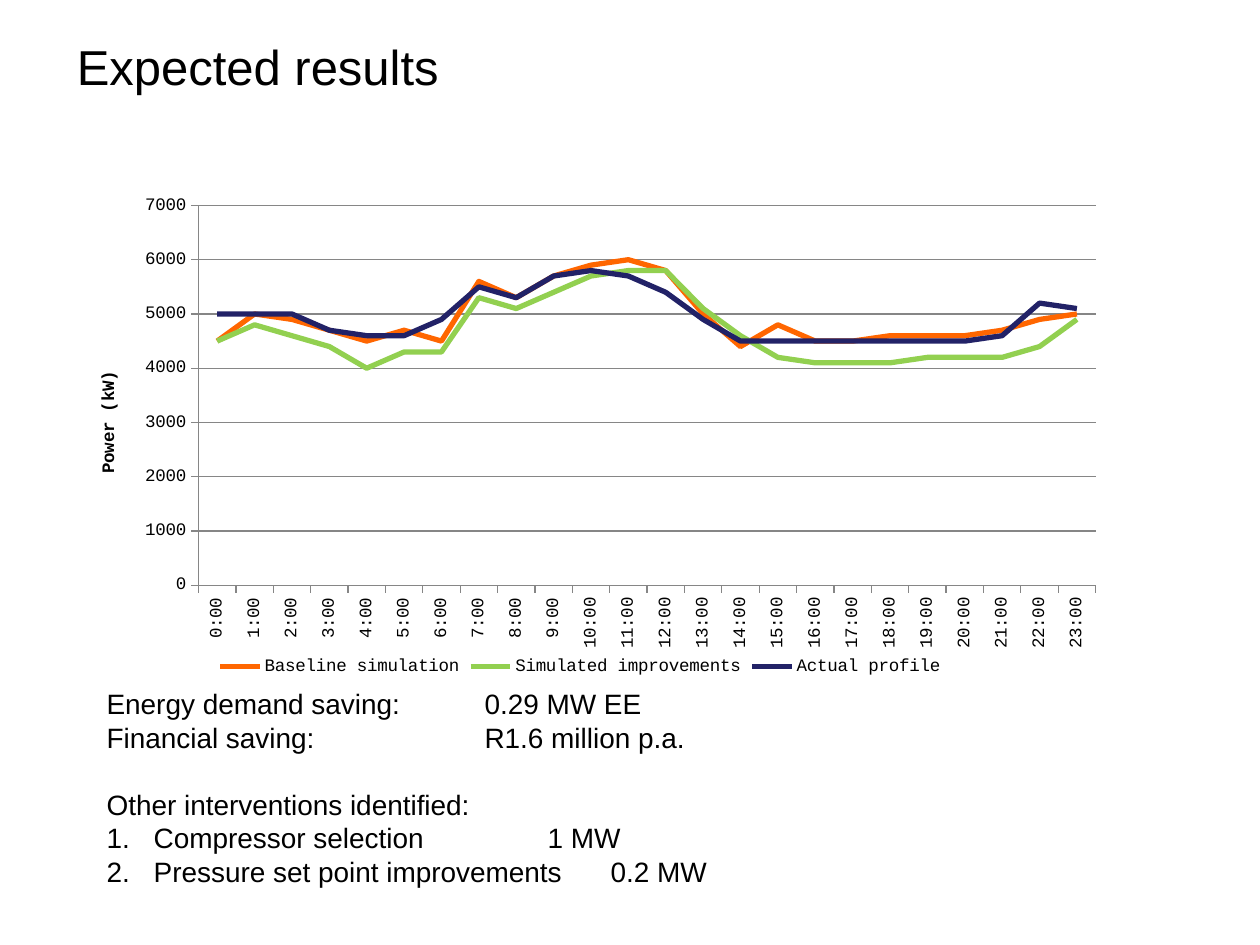
from lxml import etree
from pptx import Presentation
from pptx import util as u
from pptx.chart.data import CategoryChartData
from pptx.dml.color import RGBColor
from pptx.enum import chart as charts, text
from pptx.oxml import parse_xml
from pptx.oxml.ns import nsdecls, qn

BLACK = RGBColor(0x00, 0x00, 0x00)
GRAY = RGBColor(0x86, 0x86, 0x86)
ORANGE = RGBColor(0xFF, 0x66, 0x00)
GREEN = RGBColor(0x92, 0xD0, 0x50)
NAVY = RGBColor(0x22, 0x22, 0x67)

PROFILES = [
    ("Baseline simulation", ORANGE,
     [4500, 5000, 4900, 4700, 4500, 4700, 4500, 5600, 5300, 5700, 5900, 6000,
      5800, 5000, 4400, 4800, 4500, 4500, 4600, 4600, 4600, 4700, 4900, 5000]),
    ("Simulated improvements", GREEN,
     [4500, 4800, 4600, 4400, 4000, 4300, 4300, 5300, 5100, 5400, 5700, 5800,
      5800, 5100, 4600, 4200, 4100, 4100, 4100, 4200, 4200, 4200, 4400, 4900]),
    ("Actual profile", NAVY,
     [5000, 5000, 5000, 4700, 4600, 4600, 4900, 5500, 5300, 5700, 5800, 5700,
      5400, 4900, 4500, 4500, 4500, 4500, 4500, 4500, 4500, 4600, 5200, 5100]),
]

FINDINGS = [
    ("Energy demand saving: \t\t0.29 MW EE", False),
    ("Financial saving: \t\t\tR1.6 million p.a.", False),
    ("Other interventions identified:", False),
    ("Compressor selection \t\t1 MW", True),
    ("Pressure set point improvements\t0.2 MW", True),
]


def style_font(font, name, size, bold=False):
    font.name = name
    font.size = u.Pt(size)
    font.bold = bold
    font.color.rgb = BLACK


presentation = Presentation()
presentation.slide_width = u.Cm(25.4)
presentation.slide_height = u.Cm(19.05)
slide = presentation.slides.add_slide(presentation.slide_layouts[6])

title = slide.shapes.add_textbox(u.Cm(1.3), u.Cm(0.53), u.Cm(22.86), u.Cm(1.6))
title.text_frame.word_wrap = True
title.text_frame.vertical_anchor = text.MSO_ANCHOR.MIDDLE
run = title.text_frame.paragraphs[0].add_run()
run.text = "Expected results"
style_font(run.font, "Arial", 28)

findings = slide.shapes.add_textbox(u.Cm(1.9), u.Cm(13.72), u.Cm(17.63), u.Cm(4.37))
frame = findings.text_frame
frame.word_wrap = True
for index, (wording, numbered) in enumerate(FINDINGS):
    paragraph = frame.add_paragraph() if index else frame.paragraphs[0]
    run = paragraph.add_run()
    run.text = wording
    style_font(run.font, "Arial", 16)
    if wording.startswith("Other"):
        paragraph.space_before = u.Pt(19)
    if numbered:
        properties = paragraph._p.get_or_add_pPr()
        properties.set("marL", str(u.Cm(0.95)))
        properties.set("indent", str(-u.Cm(0.95)))
        etree.SubElement(properties, qn("a:buFont"), typeface="+mj-lt")
        etree.SubElement(properties, qn("a:buAutoNum"), type="arabicPeriod")

data = CategoryChartData()
data.categories = [f"{hour}:00" for hour in range(24)]
for name, color, values in PROFILES:
    data.add_series(name, values)
chart = slide.shapes.add_chart(
    charts.XL_CHART_TYPE.LINE, u.Cm(1.3), u.Cm(3.53), u.Cm(20.8), u.Cm(10.21), data
).chart
style_font(chart.font, "Courier New", 10)
chart.has_title = False
chart.has_legend = True
chart.legend.position = charts.XL_LEGEND_POSITION.BOTTOM
chart.legend.include_in_layout = False
chart.plots[0].vary_by_categories = False

for series, (name, color, values) in zip(chart.plots[0].series, PROFILES):
    series.smooth = False
    series.marker.style = charts.XL_MARKER_STYLE.NONE
    series.format.line.color.rgb = color
    series.format.line.width = u.Pt(3)

hours, power = chart.category_axis, chart.value_axis
for axis in (hours, power):
    axis.major_tick_mark = charts.XL_TICK_MARK.OUTSIDE
    axis.minor_tick_mark = charts.XL_TICK_MARK.NONE
    axis.format.line.color.rgb = GRAY
    style_font(axis.tick_labels.font, "Courier New", 10)
hours._element.find(qn("c:txPr")).find(qn("a:bodyPr")).set("rot", "-5400000")

power.minimum_scale = 0
power.maximum_scale = 7000
power.major_unit = 1000
power.has_major_gridlines = True
power.major_gridlines.format.line.color.rgb = GRAY
run = power.axis_title.text_frame.paragraphs[0].add_run()
run.text = "Power (kW)"
style_font(run.font, "Courier New", 10, bold=True)

plot_area = chart._chartSpace.chart.plotArea
for layout in plot_area.findall(qn("c:layout")):
    plot_area.remove(layout)
plot_area.insert(0, parse_xml(
    f'<c:layout {nsdecls("c")}><c:manualLayout><c:layoutTarget val="inner"/>'
    '<c:xMode val="edge"/><c:yMode val="edge"/><c:x val="0.13"/><c:y val="0.06"/>'
    '<c:w val="0.87"/><c:h val="0.75"/></c:manualLayout></c:layout>'
))

presentation.save("out.pptx")
